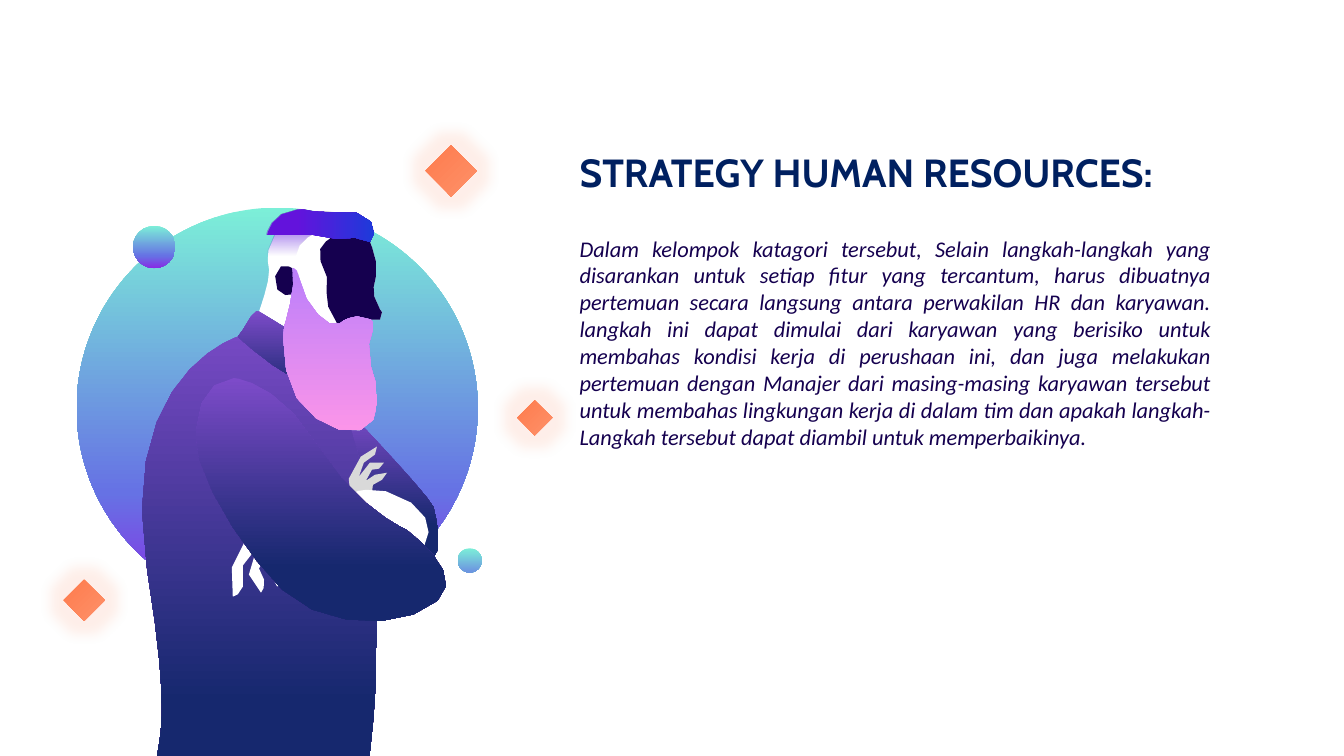
from math import dist, sqrt
from lxml.etree import SubElement
from pptx import Presentation
from pptx.dml.color import RGBColor
from pptx.enum.shapes import MSO_SHAPE as SHAPE
from pptx.enum.text import MSO_ANCHOR as ANCHOR, PP_ALIGN as ALIGN
from pptx.oxml.ns import qn
from pptx.util import Pt

NAVY = RGBColor(0x00, 0x20, 0x60)
INK = RGBColor(0x15, 0x00, 0x4F)
WHITE = RGBColor(0xFF, 0xFF, 0xFF)
GREY = RGBColor(0xD9, 0xD9, 0xD9)
MINT = RGBColor(0x7C, 0xEF, 0xD8)
SKY = RGBColor(0x6C, 0x92, 0xE1)
PERIWINKLE = RGBColor(0x66, 0x72, 0xE4)
VIOLET = RGBColor(0x88, 0x2B, 0xE5)
PURPLE = RGBColor(0x7D, 0x4B, 0xC9)
MIDNIGHT = RGBColor(0x16, 0x28, 0x6E)
SHADE = RGBColor(0x65, 0x24, 0xDE)
LILAC = RGBColor(0xBB, 0x7F, 0xFB)
PINK = RGBColor(0xFB, 0x95, 0xE9)
INDIGO = RGBColor(0x63, 0x13, 0xDC)
BLUE = RGBColor(0x1E, 0x3A, 0xDA)
CORAL = RGBColor(0xFE, 0x7B, 0x4C)
PEACH = RGBColor(0xFE, 0x91, 0x6A)

ORB = [(0, MINT, 100), (71, PERIWINKLE, 100), (100, VIOLET, 100)]
SMALL_ORB = [(0, MINT, 100), (100, SKY, 100)]
CLOTH = [(0, PURPLE, 100), (78, MIDNIGHT, 100)]
COLLAR_CLOTH = [(0, PURPLE, 100), (100, MIDNIGHT, 100)]
FACE_SHADE = [(0, SHADE, 100), (76, SHADE, 0)]
BEARD_HAIR = [(0, LILAC, 100), (100, PINK, 100)]
CAP_CLOTH = [(28, INDIGO, 100), (100, BLUE, 100)]
GEM = [(0, CORAL, 100), (100, PEACH, 100)]

GRID_WIDTH = 480

CAP_TOP = [(265, 233), (265, 233, 269, 210, 296, 208), (296, 208, 304, 207, 312, 210),
           (319, 214, 327, 213, 337, 211), (346, 209, 363, 211, 368, 220)]
NAPE = [(266, 257, 262, 253, 273, 233)]
CAP_EDGE = [(371, 230)]
FACE_FRONT = [(367, 240, 376, 260, 373, 274), (370, 287, 368, 291, 377, 307),
              (377, 307, 382, 311, 377, 317), (377, 317, 374, 319, 368, 317)]
CHEEK = [(368, 317), (368, 317, 371, 321, 370, 327), (368, 332, 360, 348, 367, 364),
         (369, 369, 372, 377, 373, 385)]
NECKLINE = [(236, 334, 245, 323, 249, 314), (253, 306, 257, 309, 257, 309), (318, 347),
            (325, 361, 331, 375, 337, 390)]

FAR_ARM = [(362, 425), (362, 425, 426, 493, 430, 503), (433, 514, 440, 549, 430, 553),
           (419, 556, 349, 550, 327, 489), (305, 427, 313, 408, 318, 407),
           (323, 405, 347, 410, 362, 425)]
HEAD = CHEEK + [(375, 402, 373, 422, 357, 427), (332, 433, 290, 409, 283, 367),
                (280, 335), (282, 324), (257, 309),
                (257, 309, 268, 279, 267, 268)] + NAPE + CAP_TOP + CAP_EDGE + [
                (367, 240)] + FACE_FRONT
BROW = [(371, 230), (358, 229, 339, 230, 310, 233), (310, 233, 294, 240, 293, 257),
        (293, 257, 278, 249, 267, 268)] + NAPE + CAP_TOP + CAP_EDGE
DARK_FACE = CHEEK + [(351, 397, 339, 333, 337, 326), (335, 318, 321, 305, 324, 290),
                     (327, 276, 324, 274, 318, 259), (312, 245, 327, 237, 327, 237),
                     (341, 215, 354, 224, 360, 224), (370, 226),
                     (372, 232, 370, 238, 367, 240)] + FACE_FRONT
TORSO = [(358, 805), (152, 805), (149, 722, 177, 759, 146, 565),
         (115, 371, 236, 334, 236, 334)] + NECKLINE + [(406, 577, 358, 805, 358, 805)]
COLLAR = [(337, 390), (296, 391, 236, 334, 236, 334)] + NECKLINE
EAR = [(290, 266), (290, 266, 276, 257, 273, 274), (270, 292, 286, 295, 290, 292),
       (290, 292, 296, 279, 290, 266)]
BEARD = [(357, 427), (333, 433, 290, 409, 284, 367), (281, 335), (282, 324),
         (282, 324, 295, 283, 290, 266), (290, 266, 295, 263, 298, 279),
         (300, 296, 317, 317, 327, 321), (338, 324, 338, 319, 341, 318),
         (345, 317, 351, 310, 368, 317), (368, 317, 372, 321, 370, 327),
         (369, 332, 361, 348, 368, 364), (375, 380, 382, 420, 357, 427)]
CAP = [(367, 240), (360, 234, 346, 236, 334, 237), (310, 233)] + CAP_TOP + [
       (373, 228, 371, 237, 367, 240)]
NEAR_HAND = [(301, 501), (248, 527), (230, 563), (231, 592), (231, 592, 241, 589, 241, 582),
             (241, 561), (255, 543), (247, 570), (259, 588),
             (259, 588, 265, 580, 262, 575), (257, 564), (267, 547), (266, 565), (275, 582),
             (275, 582, 283, 574, 280, 570), (279, 553), (307, 528)]
FAR_HAND = [(350, 512), (346, 475), (358, 453), (374, 443), (372, 451), (361, 459),
            (356, 473), (367, 459), (381, 459), (376, 465), (369, 466), (363, 477),
            (372, 471), (384, 469), (379, 476), (370, 481), (367, 505)]
FOREARM = [(351, 491), (351, 491, 377, 480, 405, 495), (442, 514, 422, 547, 410, 548),
           (391, 550, 350, 522, 341, 521), (332, 519, 328, 500, 351, 491)]
NEAR_ARM = [(232, 375), (232, 375, 276, 378, 315, 442), (354, 505, 402, 525, 402, 525),
            (402, 525, 465, 569, 434, 596), (403, 624, 322, 626, 280, 585),
            (239, 544, 191, 467, 194, 430), (197, 393, 209, 378, 232, 375)]

FIGURE = [(FAR_ARM, CLOTH, 90, 0), (HEAD, WHITE, 0, 0), (BROW, FACE_SHADE, 90, 0),
          (DARK_FACE, INK, 0, 0), (TORSO, CLOTH, 90, 0), (COLLAR, COLLAR_CLOTH, 90, 0),
          (EAR, INK, 0, 0), (BEARD, BEARD_HAIR, 90, 0), (CAP, CAP_CLOTH, 0, 0),
          (NEAR_HAND, WHITE, 0, 0), (FAR_HAND, GREY, 0, 0), (FOREARM, WHITE, 0, 8.1),
          (NEAR_ARM, CLOTH, 90, 0)]
ORBS = [(132, 224, 42, ORB), (454, 544, 24, SMALL_ORB)]
GEMS = [(63, 575, 41), (513, 397, 35), (422, 144, 51)]

TITLE = "STRATEGY HUMAN RESOURCES:"
BODY = ("Dalam kelompok katagori tersebut, Selain langkah-langkah yang disarankan untuk "
        "setiap fitur yang tercantum, harus dibuatnya pertemuan secara langsung antara "
        "perwakilan HR dan karyawan. langkah ini dapat dimulai dari karyawan yang berisiko "
        "untuk membahas kondisi kerja di perushaan ini, dan juga melakukan pertemuan dengan "
        "Manajer dari masing-masing karyawan tersebut untuk membahas lingkungan kerja di "
        "dalam tim dan apakah langkah-Langkah tersebut dapat diambil untuk memperbaikinya.")


def add_color(parent, color, alpha):
    clr = SubElement(parent, qn("a:srgbClr"), val=str(color))
    if alpha < 100:
        SubElement(clr, qn("a:alpha"), val=str(alpha * 1000))


def paint(s, fill, angle=90):
    s.shadow.inherit = False
    s.line.fill.background()
    if isinstance(fill, RGBColor):
        s.fill.solid()
        s.fill.fore_color.rgb = fill
        return
    s.fill.gradient()
    s.fill.gradient_angle = -angle % 360
    stops = next(s.element.iter(qn("a:gsLst")))
    for stop in list(stops):
        stops.remove(stop)
    for pos, color, alpha in fill:
        add_color(SubElement(stops, qn("a:gs"), pos=str(pos * 1000)), color, alpha)


def add_glow(s, radius, color, alpha):
    effects = next(s.element.iter(qn("a:effectLst")))
    add_color(SubElement(effects, qn("a:glow"), rad=str(radius)), color, alpha)


def flatten(outline):
    points = [outline[0]]
    for step in outline[1:]:
        if len(step) == 2:
            points.append(step)
            continue
        p0, p1, p2, p3 = points[-1], step[:2], step[2:4], step[4:]
        bend = max(dist((a[0] + c[0], a[1] + c[1]), (2 * b[0], 2 * b[1]))
                   for a, b, c in ((p0, p1, p2), (p1, p2, p3)))
        count = max(1, round(sqrt(0.4 * bend)))
        for i in range(1, count + 1):
            t = i / count
            u = 1 - t
            points.append(tuple(
                u**3 * a + 3 * u * u * t * b + 3 * u * t * t * c + t**3 * d
                for a, b, c, d in zip(p0, p1, p2, p3)))
    return points


def add_illustration(slide, left, top, width):
    shapes = slide.shapes.add_group_shape().shapes
    unit = width / GRID_WIDTH

    def add_preset(kind, x, y, size, fill, angle=90):
        s = shapes.add_shape(kind, int(left + x * unit), int(top + y * unit),
                             int(size * unit), int(size * unit))
        paint(s, fill, angle)
        return s

    add_preset(SHAPE.OVAL, 76, 206, 398, ORB)
    for outline, fill, angle, rotation in FIGURE:
        points = [(left + x * unit, top + y * unit) for x, y in flatten(outline)]
        builder = shapes.build_freeform(*points[0])
        builder.add_line_segments(points[1:], close=True)
        s = builder.convert_to_shape()
        s.rotation = rotation
        paint(s, fill, angle)
    for x, y, size, fill in ORBS:
        add_preset(SHAPE.OVAL, x, y, size, fill)
    for x, y, size in GEMS:
        s = add_preset(SHAPE.DIAMOND, x, y, size, GEM, 45)
        add_glow(s, Pt(18), PEACH, 15)


def set_text(s, text, font, size, color, align, anchor):
    tf = s.text_frame
    tf.word_wrap = True
    tf.margin_left = tf.margin_top = tf.margin_right = tf.margin_bottom = 0
    tf.vertical_anchor = anchor
    p = tf.paragraphs[0]
    p.text = text
    p.alignment = align
    p.font.name, p.font.size, p.font.color.rgb = font, size, color
    return p


def add_message(slide, left, top, width):
    title = slide.shapes.title
    title.left, title.top, title.width, title.height = left, top, width, Pt(38)
    p = set_text(title, TITLE, "Cabin", Pt(28), NAVY, ALIGN.LEFT, ANCHOR.MIDDLE)
    p.font.bold = True
    body = slide.shapes.add_textbox(left, top + Pt(64), width - Pt(35), Pt(155))
    p = set_text(body, BODY, "Calibri", Pt(16), INK, ALIGN.JUSTIFY, ANCHOR.TOP)
    p.font.italic = True


def main():
    prs = Presentation()
    prs.slide_width, prs.slide_height = Pt(960), Pt(540)
    slide = prs.slides.add_slide(prs.slide_layouts[5])
    add_illustration(slide, Pt(0), Pt(0), Pt(345.6))
    add_message(slide, Pt(414), Pt(103.7), Pt(486))
    prs.save("out.pptx")


if __name__ == "__main__":
    main()
